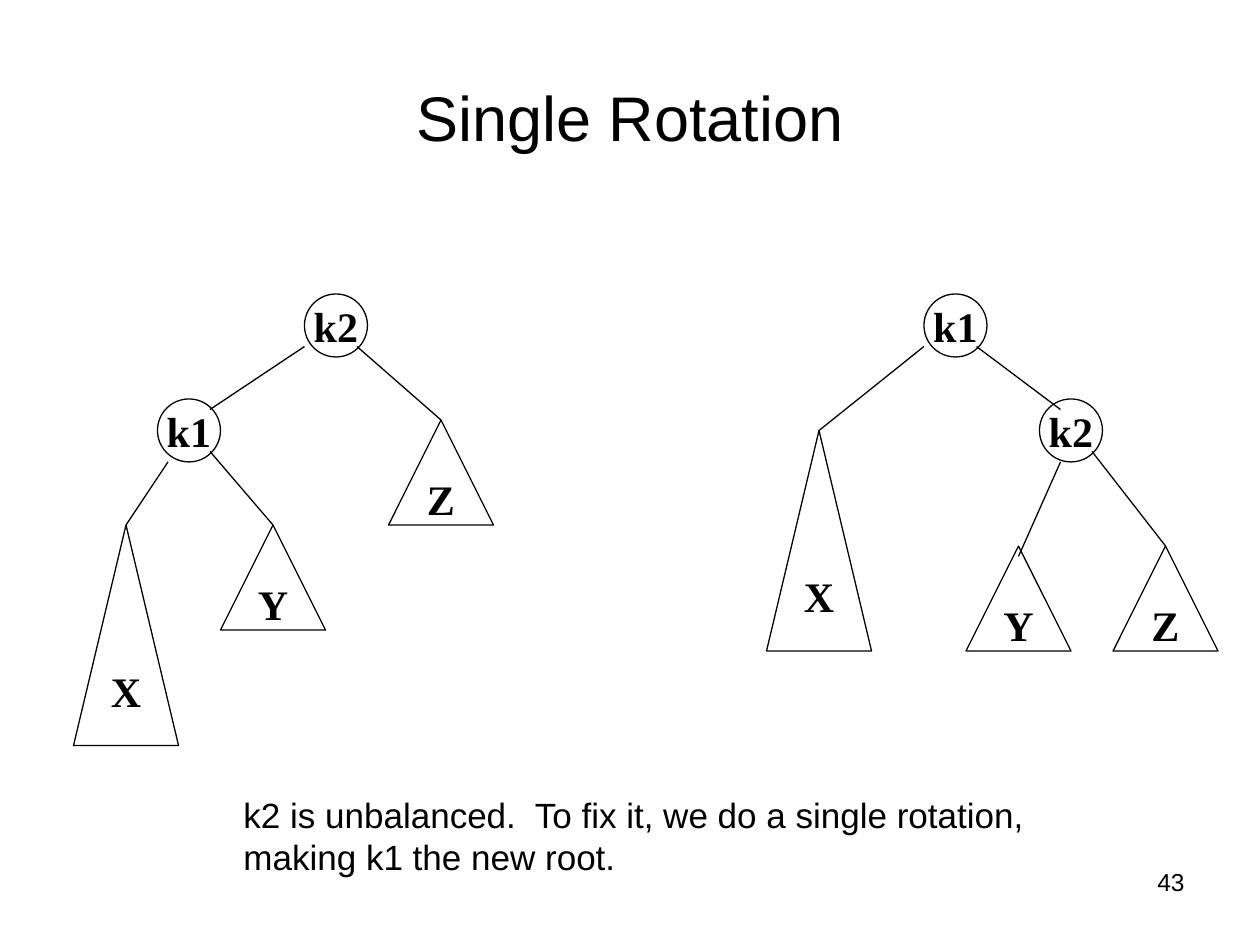
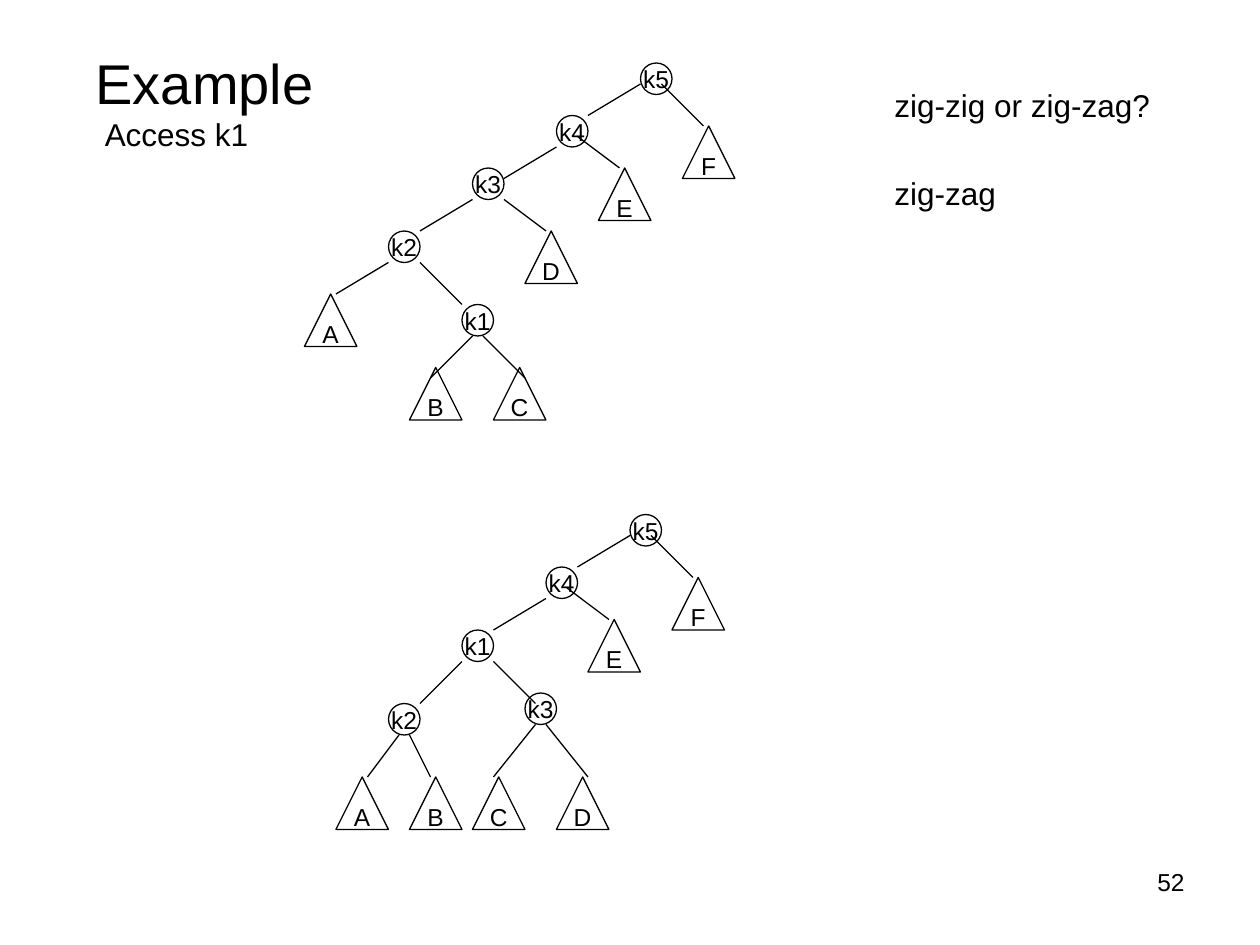
from lxml import etree
from pptx import Presentation
from pptx.dml.color import RGBColor
from pptx.enum.shapes import MSO_CONNECTOR as CONN, MSO_SHAPE as SHAPE
from pptx.enum.text import MSO_ANCHOR as ANCHOR, PP_ALIGN as ALIGN
from pptx.oxml.ns import qn
from pptx.util import Cm, Pt

INK, PAPER = "000000", "FFFFFF"
SANS, SERIF = "Arial", "Times New Roman"
BODY = {"name": SANS, "size": Pt(18)}
CAPTION = {"name": SANS, "size": Pt(20)}
SMALL = {"name": SANS, "size": Pt(14)}
LABEL = {"name": SERIF, "size": Pt(24), "bold": True}


def color(value):
    return RGBColor.from_string(value)


def grid(*cells):
    """Everything sits on a grid of twelve cells to the inch."""
    return [Cm(n * 2.54 / 12) for n in cells]


class Deck:
    def __init__(self):
        self.prs = Presentation()
        self.prs.slide_width, self.prs.slide_height = Cm(25.4), Cm(19.05)

    def slide(self, number):
        s = self.prs.slides.add_slide(self.prs.slide_layouts[6])
        s.background.fill.solid()
        s.background.fill.fore_color.rgb = color(PAPER)
        self.shapes = s.shapes
        self.text(str(number), (86, 82, 28, 6.2), SMALL, align=ALIGN.RIGHT)

    def set_text(self, sp, text, style, align, anchor, wrap):
        tf = sp.text_frame
        tf.word_wrap, tf.vertical_anchor = wrap, anchor
        p = tf.paragraphs[0]
        p.alignment = align
        r = p.add_run()
        r.text = text
        for name, value in style.items():
            setattr(r.font, name, value)
        r.font.color.rgb = color(INK)

    def text(self, text, box, style, align=ALIGN.LEFT, anchor=ANCHOR.TOP, wrap=True):
        sp = self.shapes.add_textbox(*grid(*box))
        self.set_text(sp, text, style, align, anchor, wrap)

    def title(self, text, box, size):
        self.text(text, box, {"name": SANS, "size": Pt(size)}, ALIGN.CENTER, ANCHOR.MIDDLE)

    def outline(self, sp):
        sp.line.color.rgb = color(INK)
        sp.line.width = Pt(0.75)

    def figure(self, kind, text, box, style):
        sp = self.shapes.add_shape(kind, *grid(*box))
        sp.shadow.inherit = False
        sp.fill.background()
        self.outline(sp)
        self.set_text(sp, text, style, ALIGN.CENTER, ANCHOR.MIDDLE, False)
        return sp

    def edge(self, ends, tops):
        sp = self.shapes.add_connector(CONN.STRAIGHT, *grid(*ends))
        self.outline(sp)
        etree.SubElement(sp._element.spPr, qn("a:effectLst"))
        if ends[2:] in tops:
            sp.end_connect(tops[ends[2:]], 0)

    def tree(self, nodes, subtrees, edges, node_size, tri_size, style):
        """Nodes are circles, subtrees triangles; a subtree may give its own height."""
        for name, (x, y) in nodes.items():
            self.figure(SHAPE.OVAL, name, (x, y, node_size, node_size), style)
        tops = {}
        for name, (x, y, *height) in subtrees.items():
            box = (x, y, tri_size, *(height or [tri_size]))
            tops[x + tri_size / 2, y] = self.figure(
                SHAPE.ISOSCELES_TRIANGLE, name, box, style)
        for ends in edges:
            self.edge(ends, tops)

    def group(self):
        self.shapes = self.shapes.add_group_shape().shapes


def single_rotation(deck):
    deck.slide(43)
    deck.title("Single Rotation", (6, 3.6, 108, 15), 36)
    big = (6, 10, LABEL)
    # Before the rotation
    deck.tree({"k2": (29, 28), "k1": (15, 38)},
              {"X": (7, 50, 21), "Y": (21, 50), "Z": (37, 40)},
              [(29, 33, 20, 39), (16, 44, 12, 50), (20, 43, 26, 50), (34, 33, 42, 40)],
              *big)
    # After the rotation
    deck.tree({"k1": (88, 28), "k2": (99, 38)},
              {"Y": (92, 52), "Z": (106, 52), "X": (73, 41, 21)},
              [(88, 33, 78, 41), (101, 44, 97, 53), (93, 33, 101, 39), (104, 43, 111, 52)],
              *big)
    deck.text("k2 is unbalanced.  To fix it, we do a single rotation, "
              "making k1 the new root.", (22, 75, 77, 9.3), CAPTION)


def access_example(deck):
    deck.slide(52)
    deck.title("Example", (6, 3.6, 27, 8.4), 32)
    for text, box in [("Access k1", (8.8, 10.4, 16.1, 4.8)),
                      ("zig-zig or zig-zag?", (84, 7.6, 26.8, 4.8)),
                      ("zig-zag", (84, 16, 12.1, 4.8))]:
        deck.text(text, box, BODY, wrap=False)
    little = (3, 5, SMALL)
    # Tree before the step
    deck.tree({"k1": (44, 29), "k2": (37, 22), "k3": (45, 16), "k4": (53, 11), "k5": (61, 6)},
              {"A": (29, 28), "B": (39, 35), "C": (47, 35),
               "D": (50, 22), "E": (57, 16), "F": (65, 12)},
              [(61, 8, 56, 11), (53, 14, 48, 17), (45, 19, 40, 22), (40, 25, 44, 29),
               (45, 32, 41, 36), (46, 32, 50, 36), (55, 13, 59, 16), (63, 8, 67, 12),
               (48, 19, 52, 22), (37, 25, 32, 28)],
              *little)
    # Tree after the step
    deck.group()
    deck.tree({"k1": (44, 60), "k2": (37, 67), "k3": (50, 66), "k4": (52, 54), "k5": (60, 49)},
              {"A": (32, 74), "B": (39, 74), "C": (45, 74),
               "D": (53, 74), "E": (56, 59), "F": (64, 55)},
              [(60, 51, 55, 54), (52, 57, 47, 60), (39, 70, 41, 74), (44, 63, 40, 67),
               (47, 63, 51, 67), (54, 56, 58, 59), (62, 51, 66, 55), (52, 69, 56, 74),
               (38, 70, 35, 74), (51, 69, 47, 74)],
              *little)


def main():
    deck = Deck()
    single_rotation(deck)
    access_example(deck)
    deck.prs.save("out.pptx")


if __name__ == "__main__":
    main()
